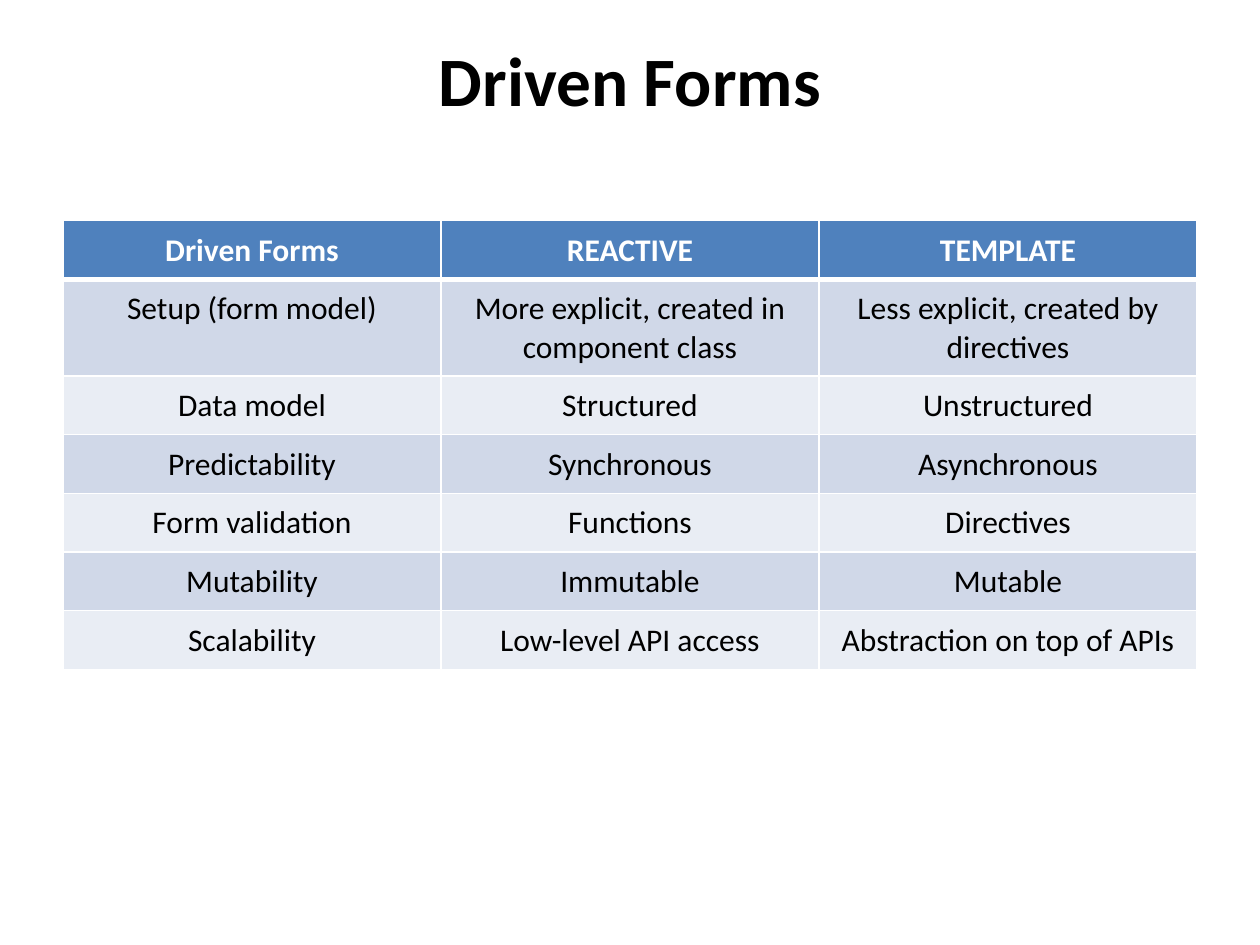
"""Build a slide that compares reactive and template driven forms."""
from dataclasses import dataclass

from lxml import etree
from pptx import Presentation
from pptx.dml.color import RGBColor
from pptx.enum.text import MSO_ANCHOR, PP_ALIGN
from pptx.oxml.ns import qn
from pptx.util import Cm, Pt

CENTER = PP_ALIGN.CENTER
TOP, BOTTOM = MSO_ANCHOR.TOP, MSO_ANCHOR.BOTTOM
FONT = "Calibri"
COLORS = {
    "header": "4F81BD",
    "band": "D0D8E8",
    "plain": "E9EDF4",
    "white": "FFFFFF",
    "black": "000000",
}
LEFT, WIDTH = Cm(1.27), Cm(22.86)
INSET = Cm(0.21)
ROW_HEIGHT = Cm(1.04)
THIN, THICK = Pt(1), Pt(3)
ROWS = [
    ("Driven Forms", "REACTIVE", "TEMPLATE"),
    ("Setup (form model)", "More explicit, created in component class",
     "Less explicit, created by directives"),
    ("Data model", "Structured", "Unstructured"),
    ("Predictability", "Synchronous", "Asynchronous"),
    ("Form validation", "Functions", "Directives"),
    ("Mutability", "Immutable", "Mutable"),
    ("Scalability", "Low-level API access", "Abstraction on top of APIs"),
]


@dataclass(frozen=True)
class RowStyle:
    fill: str
    text: str = "black"
    bold: bool = False
    anchor: MSO_ANCHOR = TOP
    above: int = THIN
    below: int = THIN


def row_style(index: int) -> RowStyle:
    if index == 0:
        return RowStyle("header", "white", True, BOTTOM, below=THICK)
    return RowStyle("band" if index % 2 else "plain", above=THICK if index == 1 else THIN)


def write(frame, text: str, size: float, color: str, bold: bool) -> None:
    para = frame.paragraphs[0]
    para.alignment = CENTER
    span = para.add_run()
    span.text = text
    span.font.name = FONT
    span.font.size = Pt(size)
    span.font.bold = bold
    span.font.color.rgb = RGBColor.from_string(COLORS[color])


def add_border(cell, side: str, width: int) -> None:
    properties = cell._tc.get_or_add_tcPr()
    line = etree.SubElement(properties, qn(f"a:ln{side}"), w=str(width))
    fill = etree.SubElement(line, qn("a:solidFill"))
    etree.SubElement(fill, qn("a:srgbClr"), val=COLORS["white"])


def style_cell(cell, text: str, style: RowStyle) -> None:
    for side, width in zip("LRTB", (THIN, THIN, style.above, style.below)):
        add_border(cell, side, width)
    cell.fill.solid()
    cell.fill.fore_color.rgb = RGBColor.from_string(COLORS[style.fill])
    cell.margin_left = cell.margin_right = INSET
    cell.margin_top = cell.margin_bottom = INSET
    cell.vertical_anchor = style.anchor
    write(cell.text_frame, text, 18, style.text, style.bold)


def add_title(page, text: str) -> None:
    box = page.shapes.add_textbox(LEFT, Cm(0.76), WIDTH, Cm(3.18))
    frame = box.text_frame
    frame.word_wrap = True
    frame.margin_top = 0
    frame.vertical_anchor = TOP
    write(frame, text, 39.6, "black", True)


def add_comparison(page) -> None:
    holder = page.shapes.add_table(
        len(ROWS), len(ROWS[0]), LEFT, Cm(4.45), WIDTH, ROW_HEIGHT * len(ROWS))
    for index, texts in enumerate(ROWS):
        for column, text in enumerate(texts):
            style_cell(holder.table.cell(index, column), text, row_style(index))


def main() -> None:
    deck = Presentation()
    deck.slide_width, deck.slide_height = Cm(25.4), Cm(19.05)
    page = deck.slides.add_slide(deck.slide_layouts[6])
    add_title(page, "Driven Forms")
    add_comparison(page)
    deck.save("out.pptx")


main()
